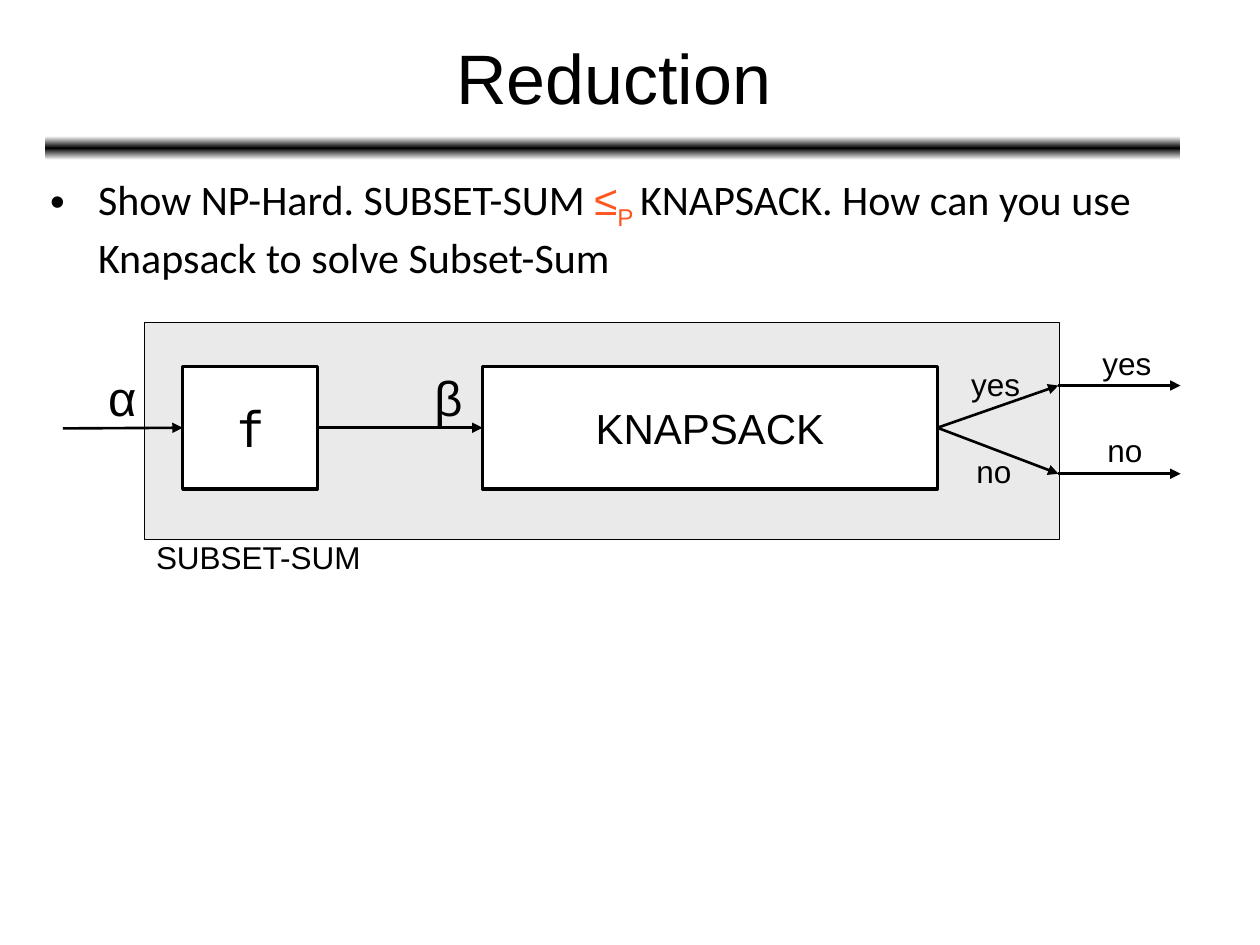
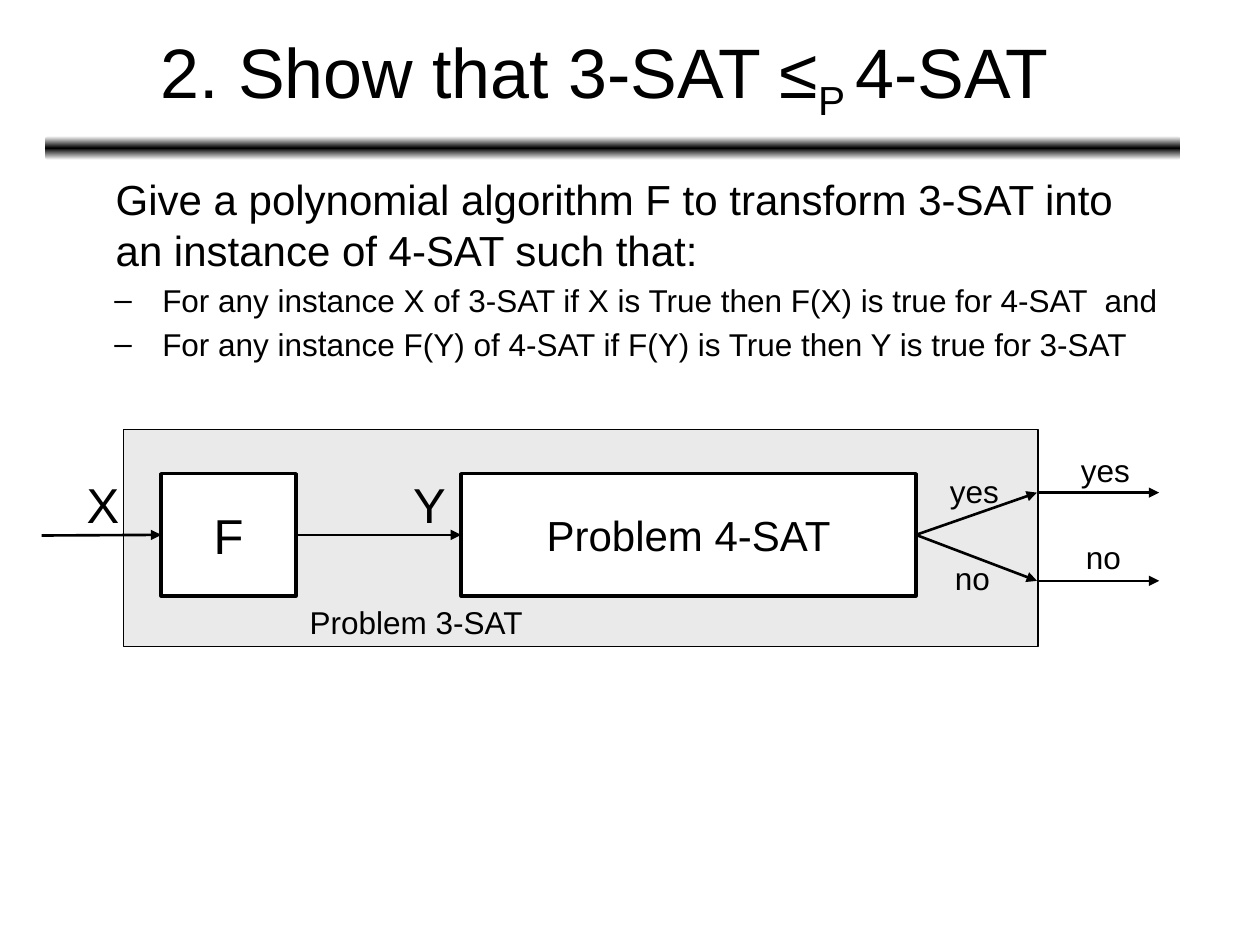
from copy import deepcopy
from lxml import etree
from pptx import Presentation
from pptx.dml.color import RGBColor
from pptx.enum import shapes, text
from pptx.oxml.ns import qn
from pptx.util import Inches, Pt

BLACK = RGBColor(0, 0, 0)
WHITE = RGBColor(255, 255, 255)
GREY = RGBColor(0xEA, 0xEA, 0xEA)
ORANGE = RGBColor(0xFF, 0x56, 0x21)
SANS, BODY, MONO = "Arial", "Calibri", "DejaVu Sans Mono"
MID = text.MSO_ANCHOR.MIDDLE
CENTER = text.PP_ALIGN.CENTER
FIT = text.MSO_AUTO_SIZE.SHAPE_TO_FIT_TEXT


def box(*sides):
    return [Inches(side) for side in sides]


def style(item, **values):
    for name, value in values.items():
        setattr(item, name, value)


def write(para, words, size, name=SANS, color=BLACK, sub=False):
    run = para.add_run()
    run.text = words
    style(run.font, size=Pt(size), name=name)
    run.font.color.rgb = color
    if sub:
        run.font._element.set("baseline", "-25000")


def indent(para, left, first):
    props = para._p.get_or_add_pPr()
    props.set("marL", str(Inches(left)))
    props.set("indent", str(Inches(first)))
    return props


def item(para, left, first, mark=None):
    """Give a body paragraph its indent, spacing and bullet."""
    props = indent(para, left, first)
    gap = etree.SubElement(props, qn("a:spcBef"))
    etree.SubElement(gap, qn("a:spcPct")).set("val", "20000")
    if mark:
        etree.SubElement(props, qn("a:buFont")).set("typeface", SANS)
        etree.SubElement(props, qn("a:buChar")).set("char", mark)
    else:
        etree.SubElement(props, qn("a:buNone"))


def band(slide):
    bar = slide.shapes.add_shape(shapes.MSO_SHAPE.ROUNDED_RECTANGLE,
                                 *box(0.36, 1.08, 9.01, 0.19))
    bar.shadow.inherit = False
    bar.line.fill.background()
    bar.fill.gradient()
    bar.fill.gradient_angle = 90
    stops = bar._element.spPr.find(".//" + qn("a:gsLst"))
    stops.insert(1, deepcopy(stops[0]))
    for stop, color, place in zip(bar.fill.gradient_stops,
                                  (WHITE, BLACK, WHITE), (0, 0.5, 1)):
        stop.color.rgb = color
        stop.position = place


def start(deck):
    """Add a slide with its band; return it and its title paragraph."""
    slide = deck.slides.add_slide(deck.slide_layouts[5])
    band(slide)
    title = slide.shapes.title
    style(title, **dict(zip(("left", "top", "width", "height"),
                            box(0.37, 0.11, 9, 0.99))))
    title.text_frame.vertical_anchor = MID
    para = title.text_frame.paragraphs[0]
    para.alignment = CENTER
    return slide, para


def body(slide, left, width):
    frame = slide.shapes.add_textbox(*box(left, 1.33, width, 5.55)).text_frame
    frame.word_wrap = True
    return frame


def flow(slide, left, top, source, target, start_tag, end_tag, caption,
         spot, font=SANS):
    """Draw a reduction: source problem around a map and a target solver."""

    def rect(x, y, wide, high, fill, weight, words="", size=24, name=SANS):
        shape = slide.shapes.add_shape(shapes.MSO_SHAPE.RECTANGLE,
                                       *box(left + x, top + y, wide, high))
        shape.shadow.inherit = False
        shape.fill.solid()
        shape.fill.fore_color.rgb = fill
        shape.line.color.rgb = BLACK
        shape.line.width = Pt(weight)
        if words:
            frame = shape.text_frame
            style(frame, word_wrap=False, vertical_anchor=MID)
            frame.paragraphs[0].alignment = CENTER
            write(frame.paragraphs[0], words, size, name)
        return shape

    def arrow(x1, y1, x2, y2, tail=None, head=None):
        line = slide.shapes.add_connector(
            shapes.MSO_CONNECTOR.STRAIGHT,
            *box(left + x1, top + y1, left + x2, top + y2))
        line.line.color.rgb = BLACK
        line.line.width = Pt(1.5)
        etree.SubElement(line.line._get_or_add_ln(),
                         qn("a:tailEnd")).set("type", "triangle")
        etree.SubElement(line._element.spPr, qn("a:effectLst"))
        if tail:
            line.begin_connect(tail, 3)
        if head:
            line.end_connect(head, 1)

    def label(words, x, y, wide, high=0.4, size=18):
        frame = slide.shapes.add_textbox(
            *box(left + x, top + y, wide, high)).text_frame
        style(frame, word_wrap=False, auto_size=FIT)
        write(frame.paragraphs[0], words, size)

    rect(0, 0, 7.26, 1.72, GREY, 0.75)
    first = rect(0.3, 0.35, 1.07, 0.97, WHITE, 2, source, 28, font)
    solver = rect(2.68, 0.35, 3.61, 0.97, WHITE, 2, target)
    arrow(-0.65, 0.84, 0.3, 0.84, head=first)
    arrow(1.37, 0.84, 2.68, 0.84, first, solver)
    label(start_tag, -0.39, 0.31, 0.46, 0.57, 28)
    label(end_tag, 2.2, 0.31, 0.43, 0.57, 28)
    for words, wide, x, y, tip in (("yes", 0.59, 6.46, 0.29, 0.5),
                                   ("no", 0.48, 6.5, 0.98, 1.2)):
        arrow(6.29, 0.84, 7.25, tip, solver)
        arrow(7.25, tip, 8.22, tip)
        label(words, x, y, wide)
        label(words, x + 1.04, y - 0.17, wide)
    label(caption, *spot)


def knapsack(deck):
    slide, title = start(deck)
    write(title, "Reduction", 40)
    para = body(slide, 0.3, 9.5).paragraphs[0]
    item(para, 0.38, -0.38, "•")
    write(para, "Show NP-Hard. SUBSET-SUM ", 24, BODY)
    write(para, "≤", 24, color=ORANGE)
    write(para, "P ", 24, color=ORANGE, sub=True)
    write(para, "KNAPSACK. How can you use Knapsack to solve Subset-Sum",
          24, BODY)
    flow(slide, 1.15, 2.56, "f", "KNAPSACK", "α", "β", "SUBSET-SUM",
         (-0.01, 1.66, 1.84), MONO)


def sat(deck):
    slide, title = start(deck)
    indent(title, 0.56, -0.56)
    write(title, "2. Show that 3-SAT ≤", 40)
    write(title, "P ", 40, sub=True)
    write(title, "4-SAT ", 40)
    frame = body(slide, 0.38, 9)
    para = frame.paragraphs[0]
    item(para, 0.44, 0)
    write(para, "Give a polynomial algorithm F to transform 3-SAT into "
          "an instance of 4-SAT such that:", 24)
    for words in (
            "For any instance X of 3-SAT if X is True then F(X) is true for 4-SAT  and",
            "For any instance F(Y) of 4-SAT if F(Y) is True then Y is true for 3-SAT"):
        para = frame.add_paragraph()
        item(para, 0.81, -0.38, "–")
        write(para, words, 18)
    flow(slide, 0.98, 3.41, "F", "Problem 4-SAT", "X", "Y", "Problem 3-SAT",
         (1.38, 1.33, 1.91))


def main():
    deck = Presentation()
    style(deck, slide_width=Inches(10), slide_height=Inches(7.5))
    knapsack(deck)
    sat(deck)
    deck.save("out.pptx")


if __name__ == "__main__":
    main()
